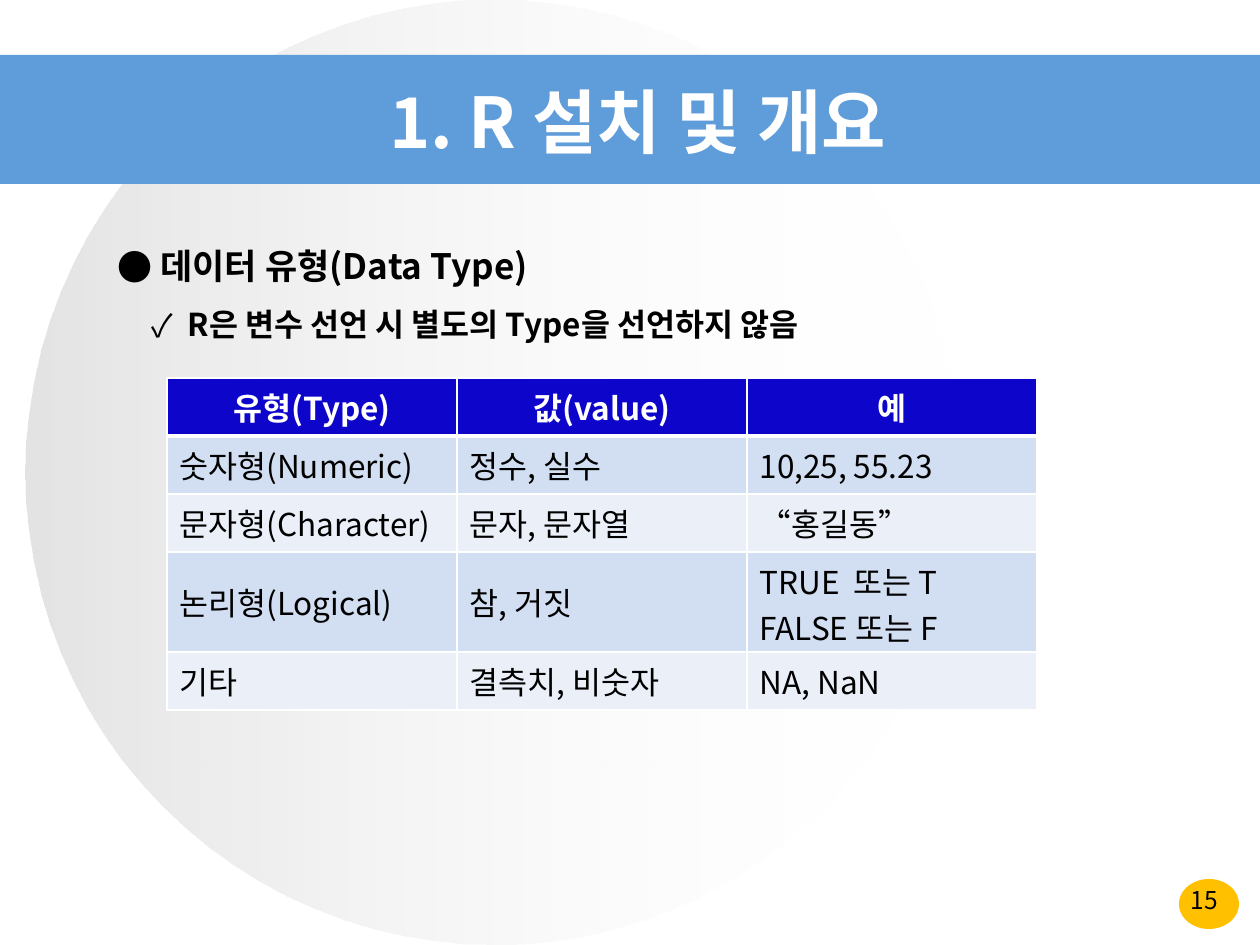
from lxml.etree import SubElement
from pptx import Presentation
from pptx.dml.color import RGBColor
from pptx.enum.shapes import MSO_SHAPE as Shape
from pptx.enum.text import MSO_ANCHOR as Anchor, PP_ALIGN as Align
from pptx.oxml.ns import qn
from pptx.util import Pt

PX = 914400 / 126
FONT = "Noto Sans CJK KR"
WHITE = RGBColor(0xFF, 0xFF, 0xFF)
BLACK = RGBColor(0, 0, 0)
GREY = RGBColor(0xC0, 0xC0, 0xC0)
BLUE = RGBColor(0x5E, 0x9C, 0xDA)
AMBER = RGBColor(0xFF, 0xC0, 0x00)
NAVY = RGBColor(0x0E, 0x05, 0xCB)
BAND_DARK = RGBColor(0xD2, 0xDE, 0xF1)
BAND_LIGHT = RGBColor(0xEA, 0xEF, 0xF8)

ROWS = [
    ["유형(Type)", "값(value)", "예"],
    ["숫자형(Numeric)", "정수, 실수", "10,25, 55.23"],
    ["문자형(Character)", "문자, 문자열", "“홍길동”"],
    ["논리형(Logical)", "참, 거짓", "TRUE  또는 T\nFALSE 또는 F"],
    ["기타", "결측치, 비숫자", "NA, NaN"],
]


def emu(px):
    return round(px * PX)


def emus(box):
    return [emu(v) for v in box]


def write(p, text, size=18, color=BLACK, bold=False, align=Align.LEFT):
    p.alignment = align
    r = p.add_run()
    r.text = text
    f = r.font
    f.name, f.size, f.bold = FONT, Pt(size), bold
    f.color.rgb = color
    SubElement(r._r.get_or_add_rPr(), qn("a:ea"), typeface=FONT)


def add_text_box(s, box, anchor=Anchor.TOP):
    tf = s.shapes.add_textbox(*emus(box)).text_frame
    tf.word_wrap = True
    tf.vertical_anchor = anchor
    return tf


def add_plain(s, kind, box, color):
    sp = s.shapes.add_shape(kind, *emus(box))
    sp.shadow.inherit = False
    sp.line.fill.background()
    sp.fill.solid()
    sp.fill.fore_color.rgb = color
    return sp


def add_bullet(p, char, left, hang):
    pPr = p._p.get_or_add_pPr()
    pPr.set("marL", str(emu(left)))
    pPr.set("indent", str(-emu(hang)))
    SubElement(pPr, qn("a:buFont"), typeface=FONT)
    SubElement(pPr, qn("a:buChar"), char=char)


def add_disc(s, box):
    """Large disc fading from grey to clear, left to right."""
    fill = add_plain(s, Shape.OVAL, box, GREY).fill
    fill.gradient()
    fill.gradient_angle = 0
    for stop, pos, color, alpha in zip(fill.gradient_stops, (0, 1), (GREY, WHITE), (44000, 0)):
        stop.position = pos
        stop.color.rgb = color
        SubElement(stop._gs[0], qn("a:alpha"), val=str(alpha))


def add_title(s, box, text):
    x, y, w, h = box
    add_plain(s, Shape.RECTANGLE, box, BLUE)
    tf = add_text_box(s, (x + 15, y + 18, w - 15, 95), Anchor.MIDDLE)
    write(tf.paragraphs[0], text, 40, WHITE, True, Align.CENTER)


def add_page_number(s, box, number):
    tf = add_text_box(s, box)
    write(tf.paragraphs[0], number, 14, align=Align.CENTER)


def add_points(s, box):
    tf = add_text_box(s, box)
    points = [
        ("●", " 데이터 유형(Data Type)", 20, 32, 32),
        ("✓", " R은 변수 선언 시 별도의 Type을 선언하지 않음", 18, 63, 29),
    ]
    for i, (char, text, size, left, hang) in enumerate(points):
        p = tf.add_paragraph() if i else tf.paragraphs[0]
        p.level = i
        p.line_spacing = 1.5
        write(p, text, size, bold=True)
        add_bullet(p, char, left, hang)


def add_borders(cell, bottom):
    tcPr = cell._tc.get_or_add_tcPr()
    for i, (side, width) in enumerate(zip("LRTB", (1, 1, 1, bottom))):
        ln = SubElement(tcPr, qn(f"a:ln{side}"), w=str(Pt(width)))
        SubElement(SubElement(ln, qn("a:solidFill")), qn("a:srgbClr"), val=str(WHITE))
        tcPr.insert(i, ln)


def add_type_table(s, box):
    table = s.shapes.add_table(len(ROWS), len(ROWS[0]), *emus(box)).table
    table.horz_banding = False
    for col in table.columns:
        col.width = emu(box[2] / len(ROWS[0]))
    for i, texts in enumerate(ROWS):
        head = i == 0
        table.rows[i].height = emu(100 if "\n" in texts[-1] else 58)
        for j, text in enumerate(texts):
            cell = table.cell(i, j)
            cell.fill.solid()
            cell.fill.fore_color.rgb = NAVY if head else BAND_DARK if i % 2 else BAND_LIGHT
            if "\n" in texts[-1] and "\n" not in text:
                cell.vertical_anchor = Anchor.MIDDLE
            tf = cell.text_frame
            for k, line in enumerate(text.split("\n")):
                p = tf.add_paragraph() if k else tf.paragraphs[0]
                write(p, line, color=WHITE if head else BLACK, bold=head,
                      align=Align.CENTER if head else Align.LEFT)
            add_borders(cell, 3 if head or i == 0 else 1)


def main():
    prs = Presentation()
    prs.slide_width, prs.slide_height = emu(1260), emu(945)
    s = prs.slides.add_slide(prs.slide_layouts[6])
    # Background
    add_plain(s, Shape.OVAL, (1179, 879, 60, 50), AMBER)
    add_disc(s, (25, 0, 937, 945))
    # Title and page number
    add_title(s, (0, 55, 1260, 129), "1. R 설치 및 개요")
    add_page_number(s, (1149, 879, 111, 37), "15")
    # Content
    add_points(s, (105, 217, 1052, 126))
    add_type_table(s, (167, 378, 870, 332))
    prs.save("out.pptx")


if __name__ == "__main__":
    main()
